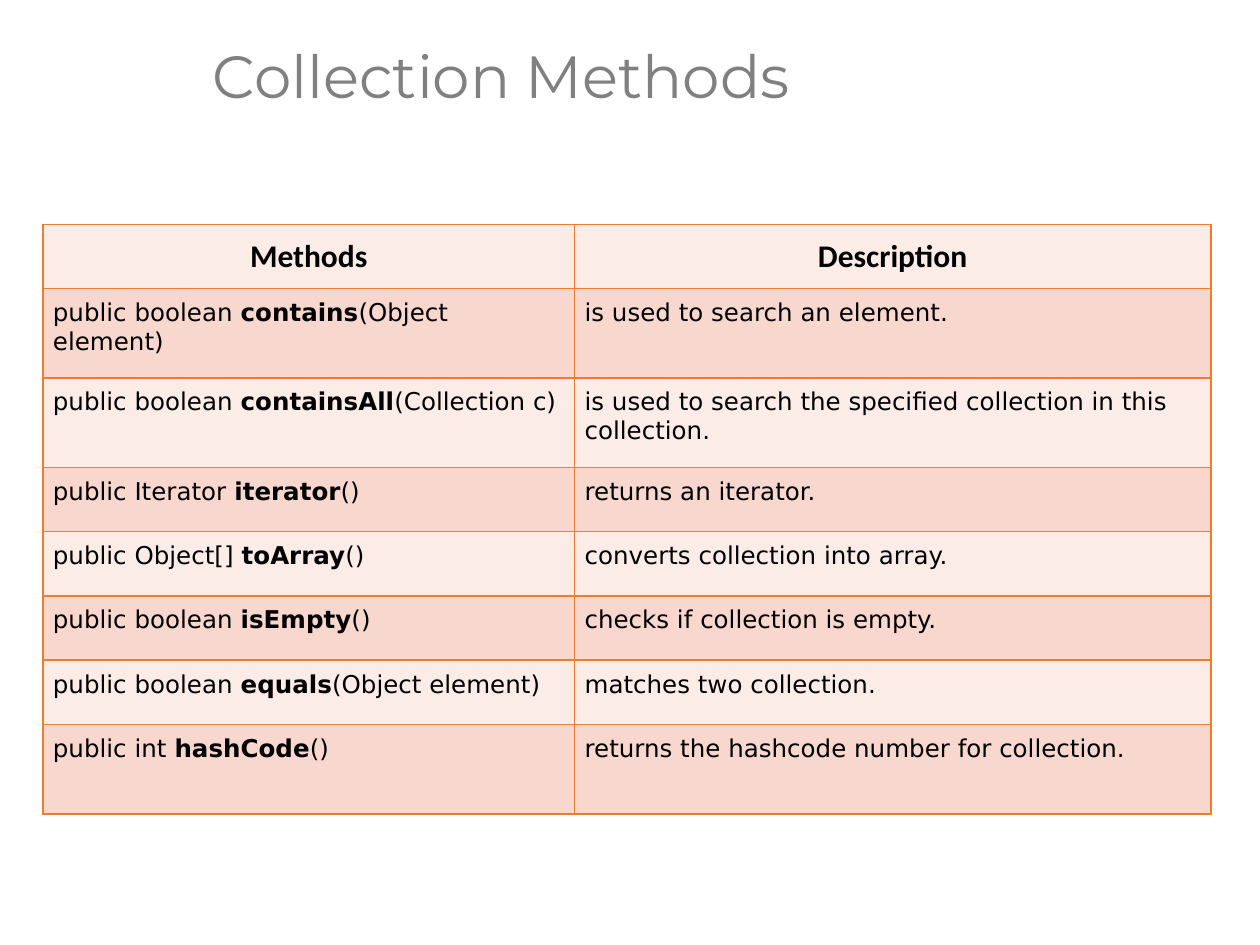
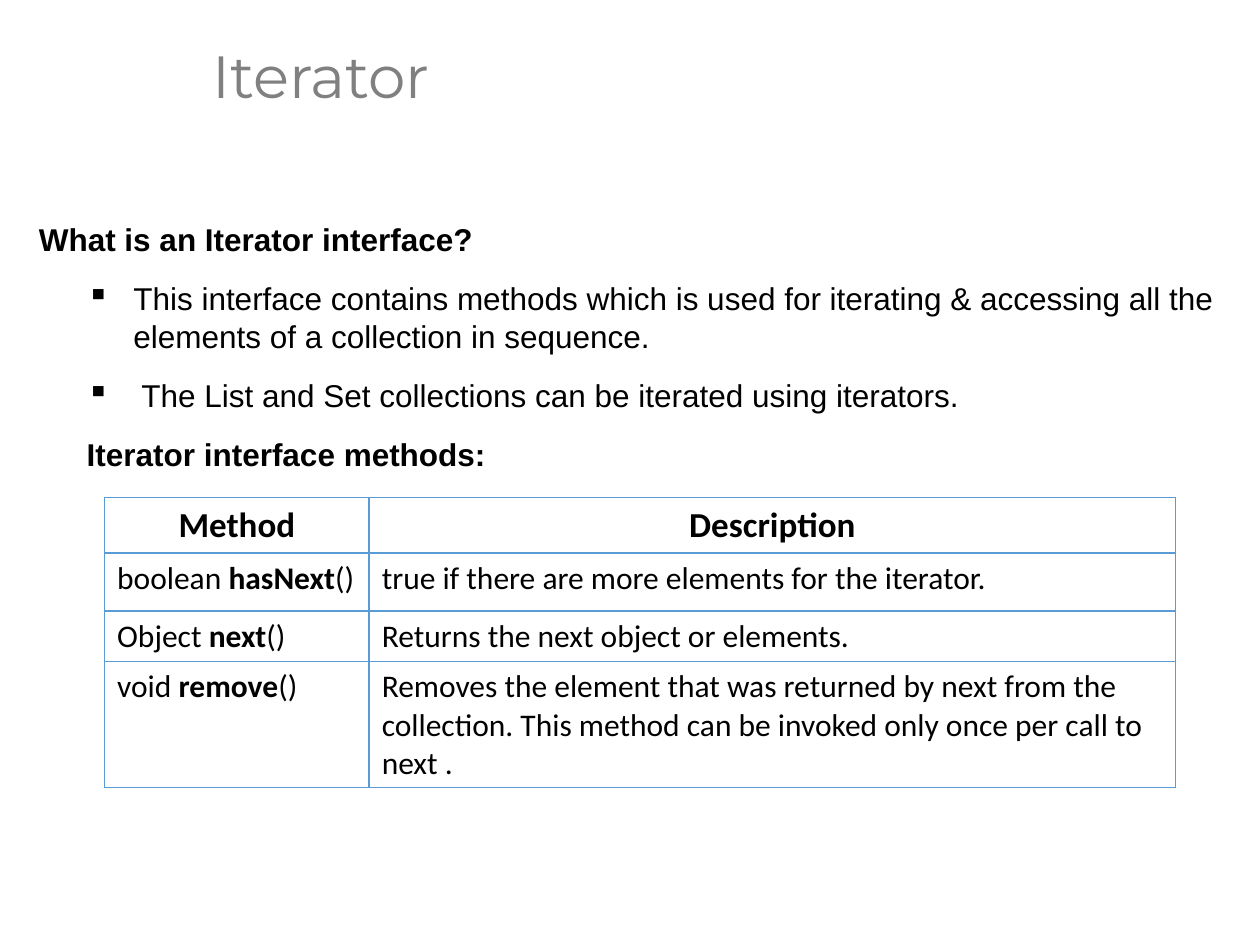
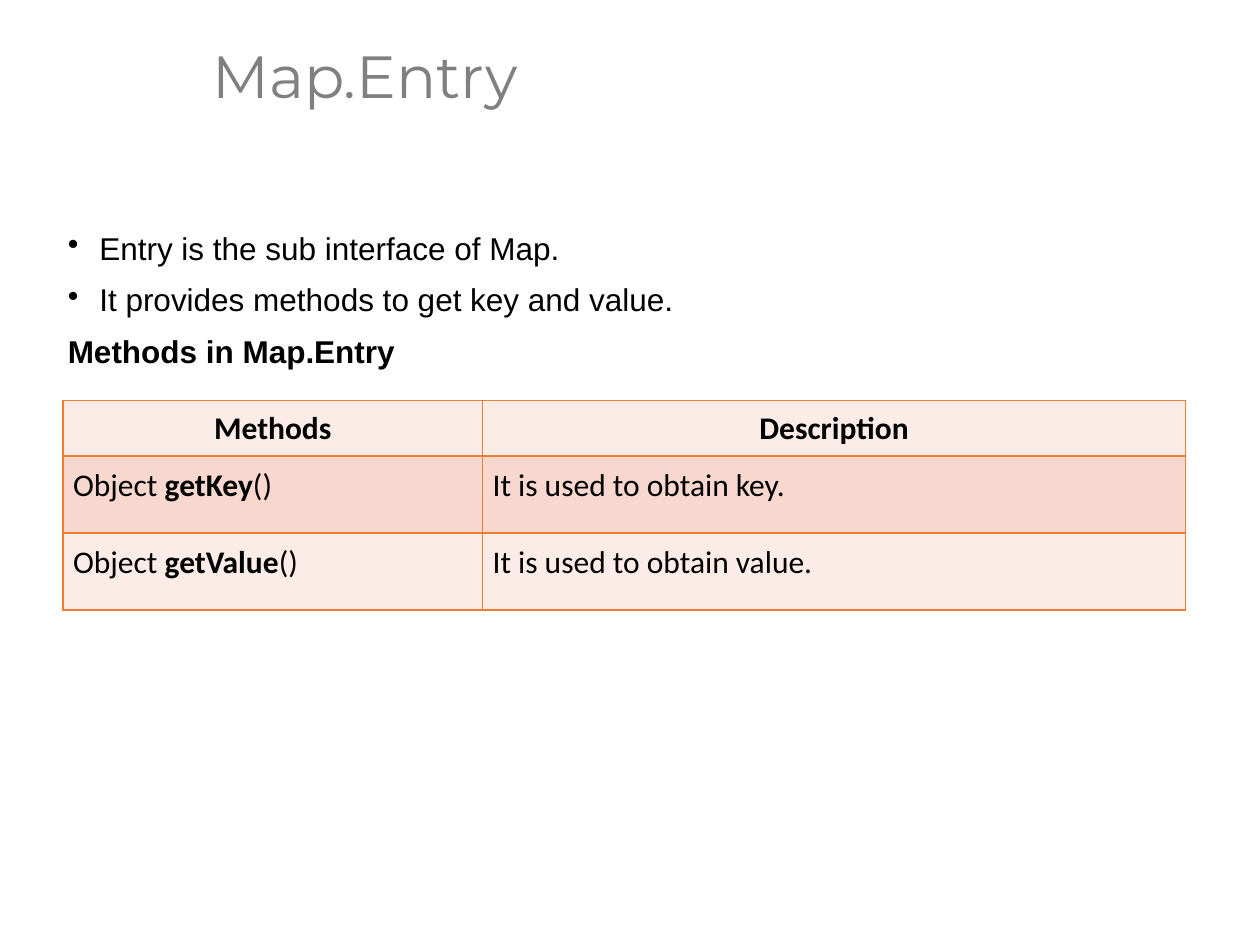
from lxml import etree
from pptx import Presentation
from pptx.dml.color import RGBColor
from pptx.enum.text import MSO_ANCHOR, PP_ALIGN
from pptx.oxml.ns import qn
from pptx.util import Inches, Pt

LEFT, MID, JUST = PP_ALIGN.LEFT, PP_ALIGN.CENTER, PP_ALIGN.JUSTIFY
TOP, CENTER = MSO_ANCHOR.TOP, MSO_ANCHOR.MIDDLE

# Shared look
GRAY, BLACK = "808080", "000000"
ORANGE, BLUE = "ED7D31", "5B9BD5"
BANDS = ["FCECE8", "F8D7CE"]
PAD = Inches(0.08)

# Page grid: 100 columns by 75 rows
deck = Presentation()
deck.slide_width, deck.slide_height = Inches(10), Inches(7.5)
COL, ROW = deck.slide_width // 100, deck.slide_height // 75


def tint(code):
    return RGBColor.from_string(code)


def write(frame, text, font="Arial", size=18, color=BLACK, align=LEFT,
          lead=None, gap=0, left=0, hang=0, bullet=None):
    """Add one paragraph; parts between asterisks are bold."""
    para = frame.paragraphs[0]
    if para.runs:
        para = frame.add_paragraph()
        para.space_before = Pt(gap)
    para.alignment = align
    if lead:
        para.line_spacing = lead
    props = para._p.get_or_add_pPr()
    props.set("marL", str(int(left * COL)))
    props.set("indent", str(int(-hang * COL)))
    if bullet:
        etree.SubElement(props, qn("a:buChar")).set("char", bullet)
    for i, part in enumerate(text.split("*")):
        if part:
            run = para.add_run()
            run.text = part
            run.font.name, run.font.size = font, Pt(size)
            run.font.bold = i % 2 == 1
            run.font.color.rgb = tint(color)


# Paragraph styles
sub = dict(left=7.5, hang=3.7, gap=12)
square = dict(sub, bullet="▪")
plain = dict(lead=0.9, gap=10)
dot = dict(plain, left=2.5, hang=2.5, bullet="•")

# Slide content
pages = [
    dict(
        title="Collection Methods", box=None, body=[],
        at=(3.4, 17.8), cols=[42.2, 50.5],
        rows=[5.1, 7.1, 7.1, 5.1, 5.1, 5.1, 5.1, 7.1],
        line=ORANGE, bands=BANDS, head=18,
        cell=dict(font="DejaVu Sans", size=14),
        table=[
            ("Methods", "Description"),
            ("public boolean *contains*(Object element)",
             "is used to search an element."),
            ("public boolean *containsAll*(Collection c)",
             "is used to search the specified collection in this collection."),
            ("public Iterator *iterator*()", "returns an iterator."),
            ("public Object[] *toArray*()", "converts collection into array."),
            ("public boolean *isEmpty*()", "checks if collection is empty."),
            ("public boolean *equals*(Object element)",
             "matches two collection."),
            ("public int *hashCode*()",
             "returns the hashcode number for collection."),
        ]),
    dict(
        title="Iterator", box=(2.1, 17, 95.8, 25.9),
        body=[
            ("*What is an Iterator interface?*", {}),
            ("This interface contains methods which is used for iterating "
             "& accessing all the elements of a collection in sequence.",
             square),
            (" The List and Set collections can be iterated using iterators.",
             square),
            ("*Iterator interface methods:*", sub),
        ],
        at=(8.3, 39.5), cols=[21, 64], rows=[4.4, 4.6, 4, 10],
        line=BLUE, bands=None, head=20,
        cell=dict(font="Calibri"),
        table=[
            ("Method", "Description"),
            ("boolean *hasNext*()",
             "true if there are more elements for the iterator."),
            ("Object *next*()", "Returns the next object or elements."),
            ("void *remove*()",
             "Removes the element that was returned by next from the "
             "collection. This method can be invoked only once per call to "
             "next ."),
        ]),
    dict(
        title="Map.Entry", box=(4.4, 18, 90.6, 48),
        body=[
            ("Entry is the sub interface of Map.", dot),
            ("It provides methods to get key and value.", dot),
            ("*Methods in Map.Entry*", plain),
        ],
        at=(5, 31.8), cols=[33.3, 55.8], rows=[4.4, 6.1, 6.1],
        line=ORANGE, bands=BANDS, head=18,
        cell=dict(font="Calibri", align=JUST),
        table=[
            ("Methods", "Description"),
            ("Object *getKey*()", "It is used to obtain key."),
            ("Object *getValue*()", "It is used to obtain value."),
        ]),
]

for page in pages:
    slide = deck.slides.add_slide(deck.slide_layouts[6])

    # Title
    box = slide.shapes.add_textbox(
        int(15.9 * COL), int(0.1 * ROW), int(84.1 * COL), int(12.4 * ROW))
    frame = box.text_frame
    frame.word_wrap, frame.vertical_anchor = True, CENTER
    write(frame, page["title"], font="Montserrat", size=34, color=GRAY,
          lead=0.9)

    # Body text
    if page["box"]:
        x, y, w, h = page["box"]
        box = slide.shapes.add_textbox(
            int(x * COL), int(y * ROW), int(w * COL), int(h * ROW))
        box.text_frame.word_wrap = True
        for text, style in page["body"]:
            write(box.text_frame, text, **style)

    # Table frame
    (x, y), cols, rows = page["at"], page["cols"], page["rows"]
    table = slide.shapes.add_table(
        len(rows), len(cols), int(x * COL), int(y * ROW),
        int(sum(cols) * COL), int(sum(rows) * ROW)).table
    table.first_row = table.horz_banding = False
    for col, w in zip(table.columns, cols):
        col.width = int(w * COL)
    for row, h in zip(table.rows, rows):
        row.height = int(h * ROW)

    # Table cells
    bands = page["bands"]
    for r, texts in enumerate(page["table"]):
        for c, text in enumerate(texts):
            cell = table.cell(r, c)
            props = cell._tc.get_or_add_tcPr()
            for side in ("lnL", "lnR", "lnT", "lnB"):
                edge = etree.SubElement(props, qn("a:" + side), w=str(Pt(1)))
                fill = etree.SubElement(edge, qn("a:solidFill"))
                etree.SubElement(fill, qn("a:srgbClr"), val=page["line"])
            if bands:
                cell.fill.solid()
                cell.fill.fore_color.rgb = tint(bands[r % 2])
                cell.vertical_anchor = TOP if r else CENTER
            else:
                cell.fill.background()
            if bands and r:
                cell.margin_left = cell.margin_right = PAD
                cell.margin_top = cell.margin_bottom = PAD
            if r:
                write(cell.text_frame, text, **page["cell"])
            else:
                write(cell.text_frame, f"*{text}*", font="Calibri",
                      size=page["head"], align=MID)

deck.save("out.pptx")
